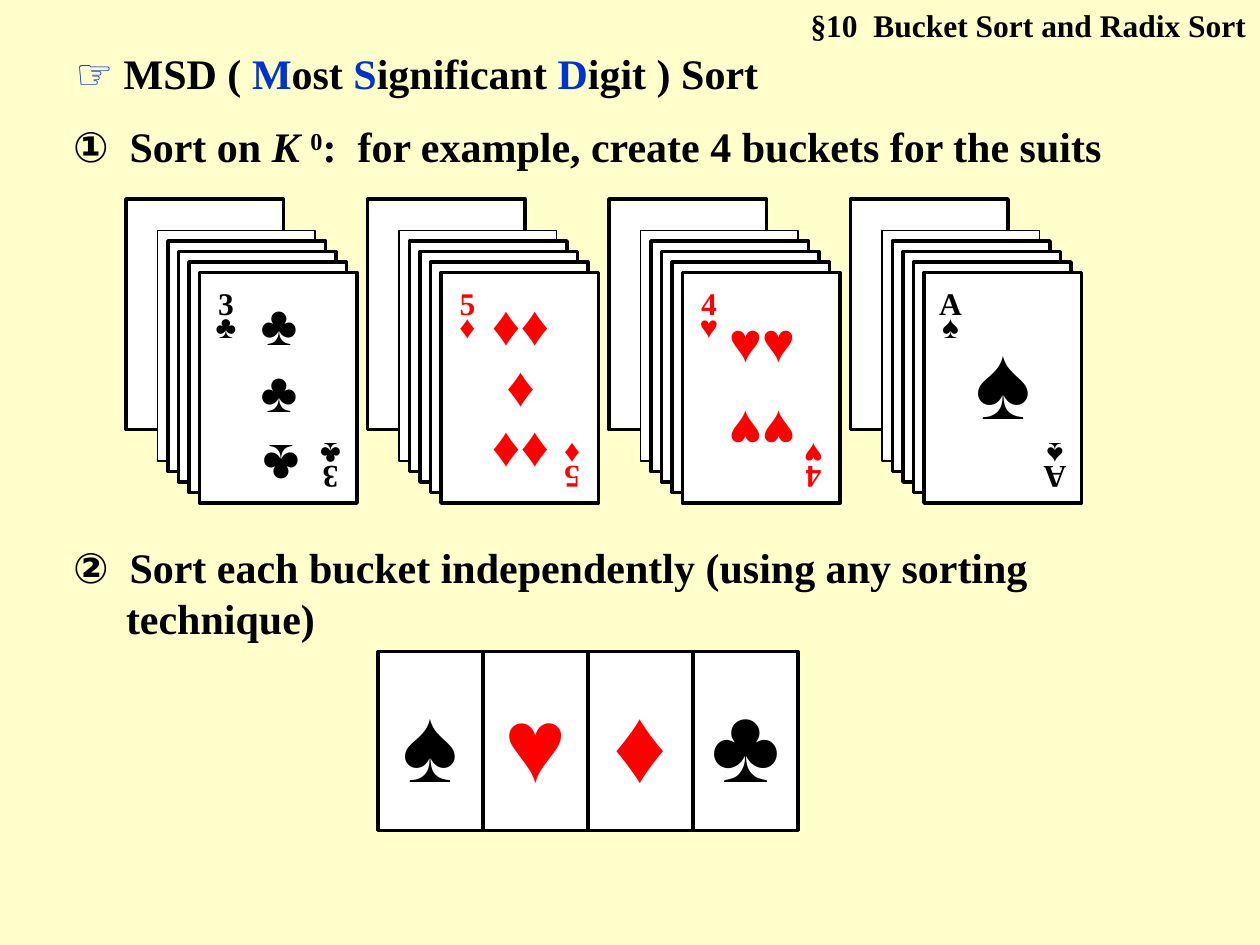
from dataclasses import dataclass
from typing import Optional

from pptx import Presentation
from pptx.dml.color import RGBColor
from pptx.enum.shapes import MSO_SHAPE
from pptx.enum.text import MSO_ANCHOR, MSO_AUTO_SIZE, PP_ALIGN
from pptx.util import Inches, Pt

CREAM = RGBColor(0xFF, 0xFF, 0xCC)
WHITE = RGBColor(0xFF, 0xFF, 0xFF)
BLACK = RGBColor(0x00, 0x00, 0x00)
BLUE = RGBColor(0x00, 0x33, 0xCC)
RED = RGBColor(0xFF, 0x00, 0x00)
SERIF, SANS = "Times New Roman", "Arial"

CARD_W, CARD_H = 1.25, 1.83
STEP = 1 / 12  # gap between neighbouring cards of a stack
FRONT = 7 * STEP
BUCKET_LEFT, BUCKET_TOP, BUCKET_PITCH = 1, 1.58, 23 * STEP
CELL_LEFT, CELL_TOP, CELL_W, CELL_H = 3, 5.17, 10 * STEP, 1.42


@dataclass
class Span:
    text: str
    font: str = SERIF
    color: RGBColor = BLACK
    italic: bool = False
    superscript: bool = False


@dataclass
class Pips:
    """Suit symbols on a card, placed from the bucket's top left corner."""
    lines: list[str]
    x: float
    y: float
    w: float
    h: float
    size: int = 32
    spacing: Optional[float] = None
    flipped: bool = False


@dataclass
class Bucket:
    rank: str
    suit: str
    color: RGBColor
    pips: list[Pips]


BUCKETS = [
    Bucket("3", "♣", BLACK, [Pips(["♣", "♣"], 0.88, 0.75, 0.67, 1),
                             Pips(["♣"], 0.92, 1.84, 0.62, 0.58, flipped=True)]),
    Bucket("5", "♦", RED, [Pips(["♦♦", "♦", "♦♦"], 0.88, 0.75, 0.67, 1.5, spacing=0.9)]),
    Bucket("4", "♥", RED, [Pips(["♥♥"], 0.88, 0.83, 0.67, 0.58),
                           Pips(["♥♥"], 0.88, 1.57, 0.67, 0.58, flipped=True)]),
    Bucket("A", "♠", BLACK, [Pips(["♠"], 0.88, 0.92, 0.67, 1, size=60)]),
]
SORTED_SUITS = [("♠", BLACK), ("♥", RED), ("♦", RED), ("♣", BLACK)]


def style_run(r, size: float, font: str, color: RGBColor) -> None:
    r.font.size, r.font.name, r.font.bold = Pt(size), font, True
    r.font.color.rgb = color


def set_margins(tf, side: float) -> None:
    tf.margin_left = tf.margin_right = Inches(side)
    tf.margin_top = tf.margin_bottom = Inches(0.05)


def write_line(sp, spans: list[Span], margin: float = 0, size: float = 24,
               before: float = 15, align=PP_ALIGN.LEFT):
    """Fill a wrapping text shape with one paragraph of mixed runs."""
    tf = sp.text_frame
    tf.word_wrap = True
    tf.auto_size = MSO_AUTO_SIZE.SHAPE_TO_FIT_TEXT
    tf.vertical_anchor = MSO_ANCHOR.TOP
    set_margins(tf, margin)
    p = tf.paragraphs[0]
    p.alignment, p.space_before = align, Pt(before)
    for span in spans:
        r = p.add_run()
        r.text = span.text
        style_run(r, size, span.font, span.color)
        if span.italic:
            r.font.italic = True
        if span.superscript:
            r.font._element.set("baseline", "30000")
    return p


def write_symbols(sp, lines: list[str], size: float, color: RGBColor,
                  spacing: Optional[float] = None) -> None:
    """Centre lines of suit symbols (or a rank) in a shape."""
    tf = sp.text_frame
    tf.text = "\n".join(lines)
    tf.word_wrap = False
    tf.vertical_anchor = MSO_ANCHOR.MIDDLE
    set_margins(tf, 0)
    for p in tf.paragraphs:
        p.alignment = PP_ALIGN.CENTER
        if spacing:
            p.line_spacing = spacing
        font = SERIF if p.text.isalnum() else SANS
        style_run(p.runs[0], size, font, color)


def add_box(parent, x: float, y: float, w: float, h: float):
    return parent.add_textbox(Inches(x), Inches(y), Inches(w), Inches(h))


def add_card(parent, x: float, y: float, w: float, h: float, line: float = 2):
    sp = parent.add_shape(MSO_SHAPE.RECTANGLE, Inches(x), Inches(y), Inches(w), Inches(h))
    sp.shadow.inherit = False
    sp.fill.solid()
    sp.fill.fore_color.rgb = WHITE
    sp.line.color.rgb = BLACK
    sp.line.width = Pt(line)
    return sp


def draw_bucket(slide, bucket: Bucket, x: float, y: float) -> None:
    group = slide.shapes.add_group_shape().shapes
    for steps in (0, 3, 4, 5, 6, 7):
        offset = steps * STEP
        add_card(group, x + offset, y + offset, CARD_W, CARD_H, 0.75 if steps == 3 else 2)
    corners = [Pips([bucket.rank, bucket.suit], FRONT + dx, FRONT + dy, 0.42, 0.5,
                    18, 0.6, flipped)
               for dx, dy, flipped in ((0, 0.13, False), (0.83, 1.25, True))]
    for pips in corners + bucket.pips:
        sp = add_box(group, x + pips.x, y + pips.y, pips.w, pips.h)
        write_symbols(sp, pips.lines, pips.size, bucket.color, pips.spacing)
        if pips.flipped:
            sp.rotation = 180


def main() -> None:
    prs = Presentation()
    prs.slide_width, prs.slide_height = Inches(10), Inches(7.5)
    slide = prs.slides.add_slide(prs.slide_layouts[5])
    slide.background.fill.solid()
    slide.background.fill.fore_color.rgb = CREAM

    title = slide.shapes.title
    title.left, title.top = Inches(0.5), Inches(0.33)
    title.width, title.height = Inches(9), Inches(0.5)
    write_line(title, [
        Span("☞", SANS, BLUE), Span(" MSD ( "), Span("M", color=BLUE), Span("ost "),
        Span("S", color=BLUE), Span("ignificant "), Span("D", color=BLUE),
        Span("igit ) Sort")], margin=0.1)

    write_line(add_box(slide.shapes, 0.58, 0.91, 8.75, 0.5), [
        Span("①", SANS), Span("  Sort on "), Span("K ", italic=True),
        Span("0", superscript=True),
        Span(":  for example, create 4 buckets for the suits")])
    for i, bucket in enumerate(BUCKETS):
        draw_bucket(slide, bucket, BUCKET_LEFT + i * BUCKET_PITCH, BUCKET_TOP)

    p = write_line(add_box(slide.shapes, 0.58, 4.25, 8.92, 0.9), [
        Span("②", SANS),
        Span("  Sort each bucket independently (using any sorting technique)")])
    pPr = p._p.get_or_add_pPr()
    pPr.set("marL", str(Inches(0.42)))
    pPr.set("indent", str(-Inches(0.42)))
    for i, (suit, color) in enumerate(SORTED_SUITS):
        cell = add_card(slide.shapes, CELL_LEFT + i * CELL_W, CELL_TOP, CELL_W, CELL_H)
        write_symbols(cell, [suit], 60, color)

    write_line(add_box(slide.shapes, 5.83, 0, 4.16, 0.4),
               [Span("§10  Bucket Sort and Radix Sort")],
               margin=0.1, size=18, before=11.2, align=PP_ALIGN.RIGHT)
    prs.save("out.pptx")


if __name__ == "__main__":
    main()
